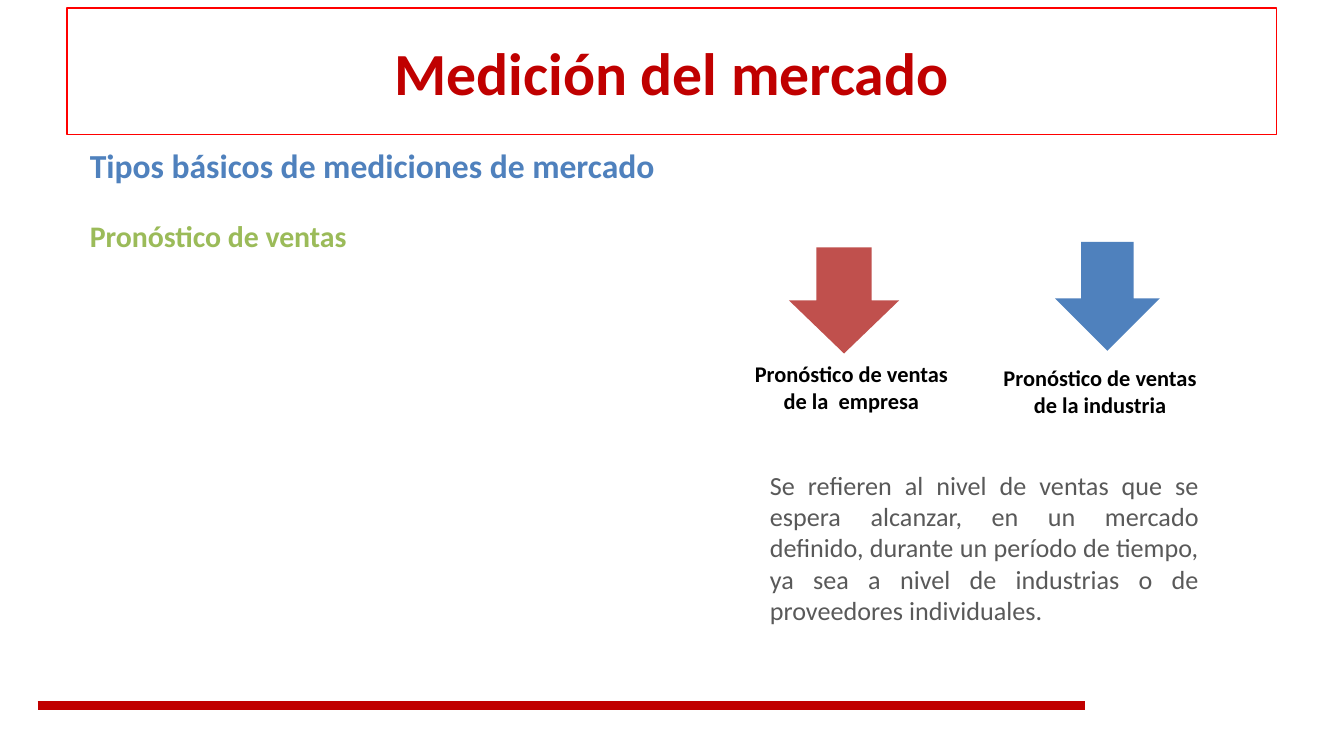
from lxml import etree
from pptx import Presentation
from pptx.dml.color import RGBColor
from pptx.enum.shapes import MSO_CONNECTOR, MSO_SHAPE
from pptx.enum.text import MSO_ANCHOR, PP_ALIGN
from pptx.oxml.ns import qn
from pptx.util import Inches, Pt

LEFT, CENTER, JUSTIFY = PP_ALIGN.LEFT, PP_ALIGN.CENTER, PP_ALIGN.JUSTIFY
MIDDLE = MSO_ANCHOR.MIDDLE
RECTANGLE, DOWN_ARROW = MSO_SHAPE.RECTANGLE, MSO_SHAPE.DOWN_ARROW
STRAIGHT = MSO_CONNECTOR.STRAIGHT

FONT = "Calibri"
WIDTH = 10
HEIGHT = WIDTH * 9 / 16
RED, BLUE, GREEN = "C00000", "4F81BD", "9BBB59"
BLACK, GRAY = "000000", "595959"


def color(value):
    return RGBColor.from_string(value)


def inches(box):
    return [Inches(length) for length in box]


def write(paragraph, text, size, text_color, bold=False, align=LEFT):
    paragraph.text = text
    paragraph.alignment = align
    font = paragraph.font
    font.name, font.size, font.bold = FONT, Pt(size), bold
    font.color.rgb = color(text_color)


def add_text_frame(slide, box, wrap=True):
    frame = slide.shapes.add_textbox(*inches(box)).text_frame
    frame.word_wrap = wrap
    return frame


def add_title(slide, box):
    shape = slide.shapes.add_shape(RECTANGLE, *inches(box))
    shape.shadow.inherit = False
    shape.fill.background()
    shape.line.color.rgb = color("FF0000")
    shape.line.width = Pt(0.75)
    frame = shape.text_frame
    frame.vertical_anchor = MIDDLE
    write(frame.paragraphs[0], "Medición del mercado", 32, RED, True, CENTER)


def add_headings(slide, box):
    frame = add_text_frame(slide, box, wrap=False)
    heading, subheading = frame.paragraphs[0], frame.add_paragraph()
    write(heading, "Tipos básicos de mediciones de mercado", 18, BLUE, True)
    write(subheading, "Pronóstico de ventas", 16, GREEN, True)
    heading.line_spacing = subheading.line_spacing = 0.9
    subheading.space_before = Pt(19.5)


def add_forecast(slide, arrow_box, label_box, fill, label):
    """Place a down arrow above the name of the forecast it leads to."""
    arrow = slide.shapes.add_shape(DOWN_ARROW, *inches(arrow_box))
    arrow.shadow.inherit = False
    arrow.fill.solid()
    arrow.fill.fore_color.rgb = color(fill)
    arrow.line.fill.background()
    frame = add_text_frame(slide, label_box)
    write(frame.paragraphs[0], label, 12, BLACK, True, CENTER)


def add_description(slide, box):
    frame = add_text_frame(slide, box)
    write(
        frame.paragraphs[0],
        "Se refieren al nivel de ventas que se espera alcanzar, en un mercado "
        "definido, durante un período de tiempo, ya sea a nivel de industrias "
        "o de proveedores individuales.",
        14, GRAY, align=JUSTIFY,
    )


def add_footer_rule(slide, left, right, y):
    rule = slide.shapes.add_connector(STRAIGHT, *inches((left, y, right, y)))
    rule.line.color.rgb = color(RED)
    rule.line.width = Pt(4.5)
    properties = rule._element.find(qn("p:spPr"))
    etree.SubElement(properties, qn("a:effectLst"))


def main():
    presentation = Presentation()
    presentation.slide_width = Inches(WIDTH)
    presentation.slide_height = Inches(HEIGHT)
    slide = presentation.slides.add_slide(presentation.slide_layouts[6])

    margin = 0.05 * WIDTH
    add_description(slide, (5.63, 3.44, 3.39, 1.42))
    add_forecast(slide, (5.87, 1.84, 0.82, 0.79), (5.49, 2.63, 1.69, 0.5),
                 "C0504D", "Pronóstico de ventas de la  empresa")
    add_forecast(slide, (7.85, 1.8, 0.78, 0.81), (7.36, 2.66, 1.65, 0.5),
                 BLUE, "Pronóstico de ventas de la industria")
    add_headings(slide, (0.57, 1.06, 4.43, 0.92))
    add_title(slide, (margin, 0.06, WIDTH - 2 * margin, 0.94))
    add_footer_rule(slide, 0.28, 8.07, 5.25)
    presentation.save("out.pptx")


if __name__ == "__main__":
    main()
